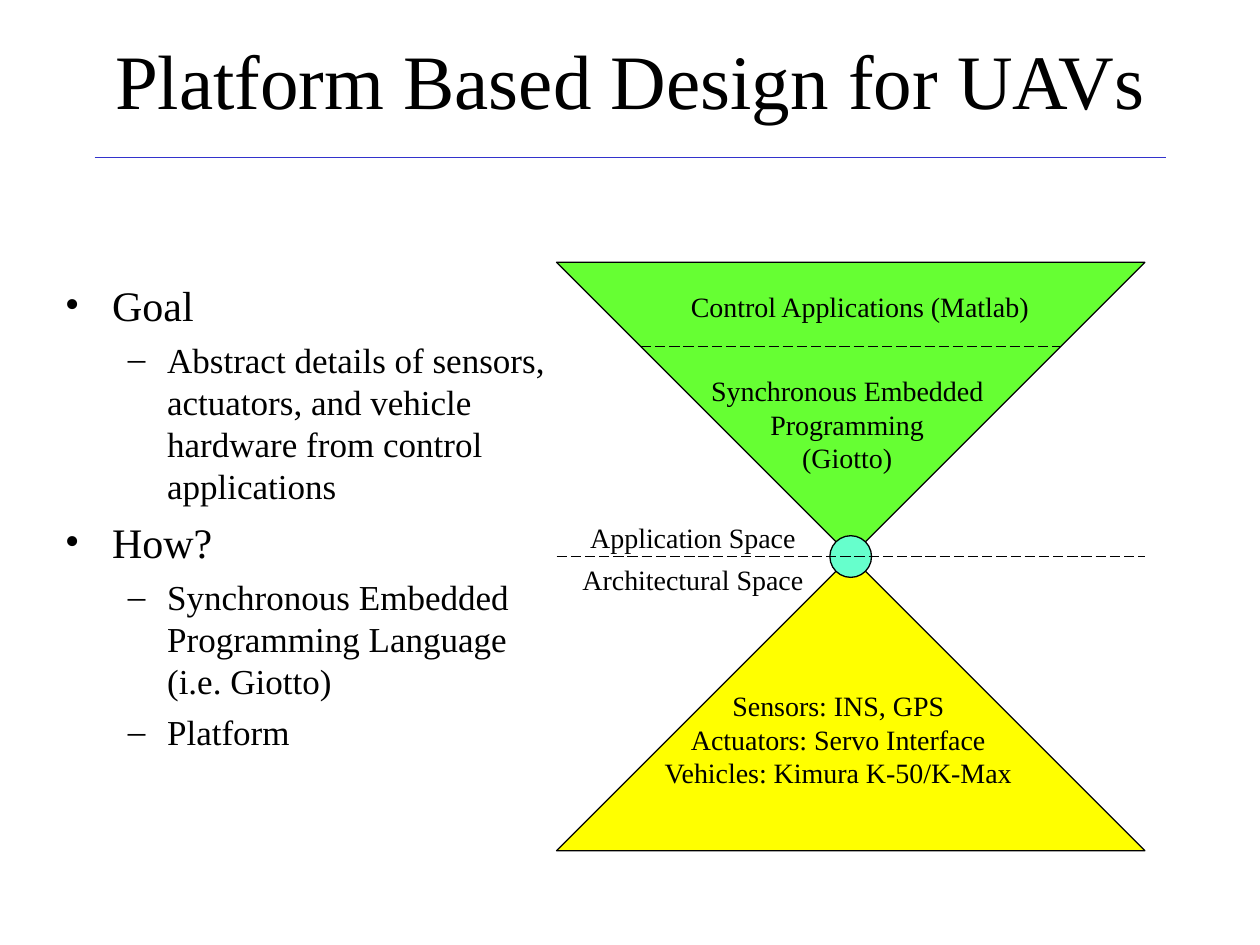
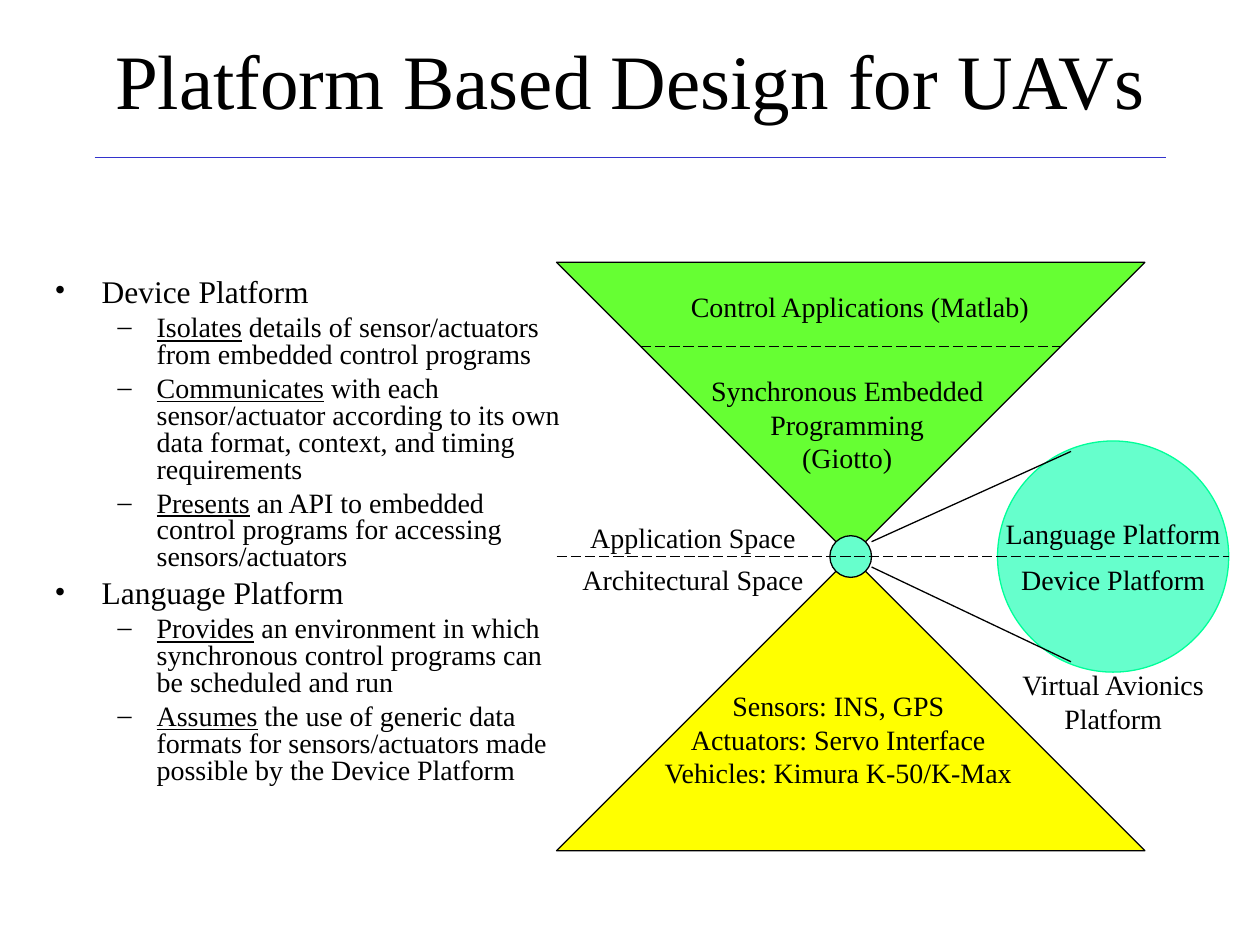
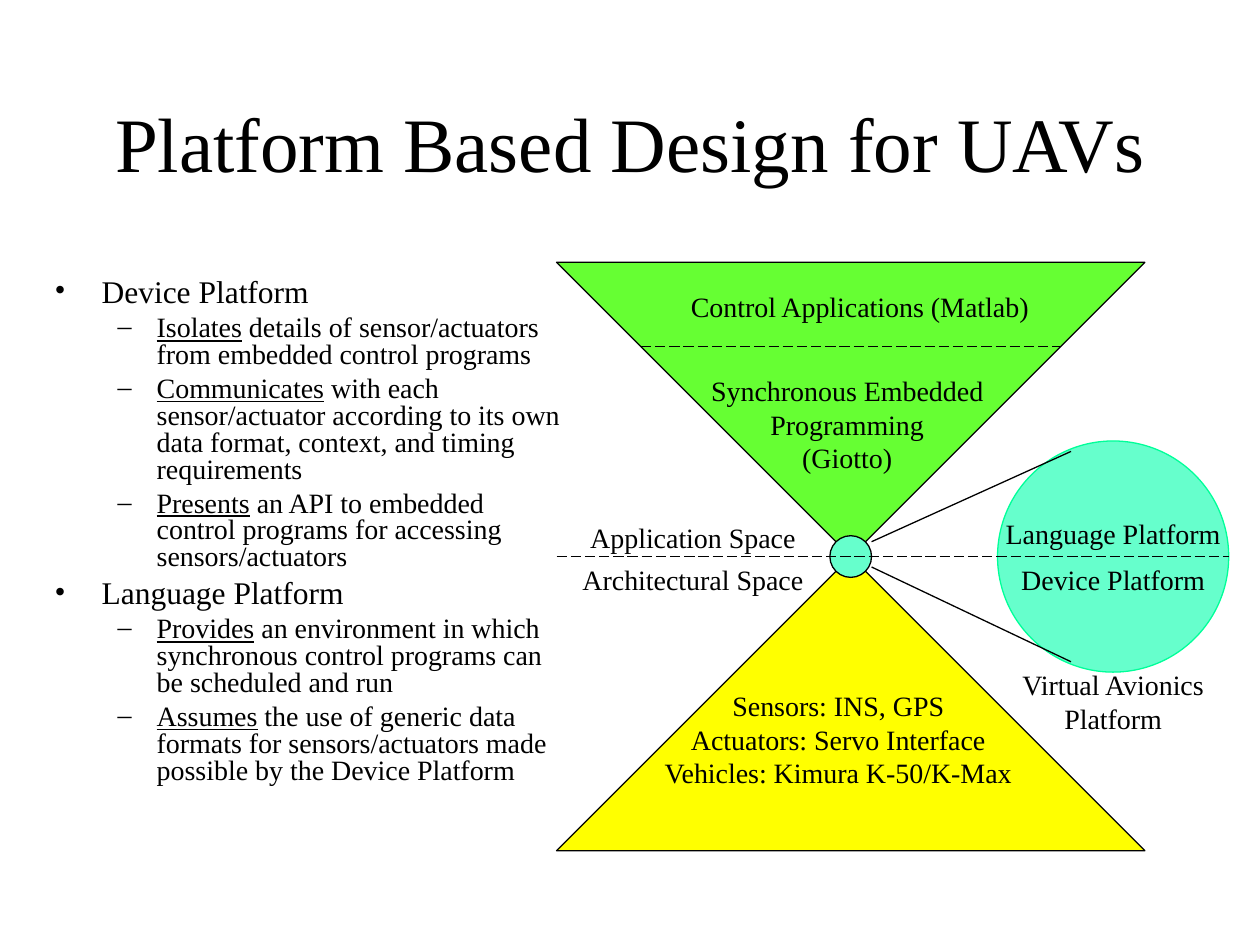
from dataclasses import dataclass

from lxml import etree
from pptx import Presentation
from pptx.dml.color import RGBColor
from pptx.enum.dml import MSO_LINE
from pptx.enum.shapes import MSO_CONNECTOR, MSO_SHAPE
from pptx.enum.text import MSO_ANCHOR, MSO_AUTO_SIZE, PP_ALIGN
from pptx.oxml.ns import qn
from pptx.util import Cm, Pt

TRIANGLE = MSO_SHAPE.ISOSCELES_TRIANGLE
OVAL = MSO_SHAPE.OVAL
STRAIGHT = MSO_CONNECTOR.STRAIGHT
LONG_DASH = MSO_LINE.LONG_DASH
CENTER = PP_ALIGN.CENTER
LEFT = PP_ALIGN.LEFT
MIDDLE = MSO_ANCHOR.MIDDLE
TOP = MSO_ANCHOR.TOP
GROW = MSO_AUTO_SIZE.SHAPE_TO_FIT_TEXT


@dataclass(frozen=True)
class Theme:
    font: str = "Times New Roman"
    ink: str = "000000"
    rule: str = "3333CC"
    application: str = "66FF33"
    architecture: str = "FFFF00"
    platform: str = "66FFCC"
    platform_edge: str = "00FF99"
    title_size: float = 44
    label_size: float = 16
    roomy_sizes: tuple = (24, 20)
    dense_sizes: tuple = (18, 16)
    line_width: float = 0.75


THEME = Theme()

# Hourglass geometry in centimetres: both triangles meet at the apex
APEX_X, APEX_Y = 17.15, 11.22
HALF = 5.93
NODE_RADIUS = 0.42
LAYER_OFFSET = 4.23
PLATFORM_X, PLATFORM_RADIUS = 22.44, 2.33
LABEL_HEIGHT = 0.94

TITLE = "Platform Based Design for UAVs"

# Each point: level, underlined lead word, remaining text
GOAL_POINTS = [
    (0, "", "Goal"),
    (1, "", "Abstract details of sensors, actuators, and vehicle hardware "
            "from control applications"),
    (0, "", "How?"),
    (1, "", "Synchronous Embedded Programming Language (i.e. Giotto)"),
    (1, "", "Platform"),
]
PLATFORM_POINTS = [
    (0, "", "Device Platform"),
    (1, "Isolates", " details of sensor/actuators from embedded control programs"),
    (1, "Communicates", " with each sensor/actuator according to its own data "
                        "format, context, and timing requirements"),
    (1, "Presents", " an API to embedded control programs for accessing "
                    "sensors/actuators"),
    (0, "", "Language Platform"),
    (1, "Provides", " an environment in which synchronous control programs can "
                    "be scheduled and run"),
    (1, "Assumes", " the use of generic data formats for sensors/actuators made "
                   "possible by the Device Platform"),
]

BULLETS = [("•", 0.95, -0.95), ("–", 2.06, -0.79)]


def colour(hex_value):
    return RGBColor.from_string(hex_value)


def add_run(paragraph, text, size, underline=False):
    run = paragraph.add_run()
    run.text = text
    run.font.name = THEME.font
    run.font.size = Pt(size)
    run.font.color.rgb = colour(THEME.ink)
    if underline:
        run.font.underline = True


def add_text_frame(slide, left, top, width, height, anchor=TOP):
    box = slide.shapes.add_textbox(Cm(left), Cm(top), Cm(width), Cm(height))
    frame = box.text_frame
    frame.word_wrap = True
    frame.vertical_anchor = anchor
    return frame


def add_label(slide, lines, left, top, width, height=LABEL_HEIGHT):
    frame = add_text_frame(slide, left, top, width, height)
    frame.auto_size = GROW
    paragraph = frame.paragraphs[0]
    paragraph.alignment = CENTER
    for index, line in enumerate(lines):
        if index:
            paragraph.add_line_break()
        add_run(paragraph, line, THEME.label_size)


def add_line(slide, start, end, line_colour=THEME.ink, dashed=False):
    connector = slide.shapes.add_connector(
        STRAIGHT, *(Cm(value) for value in (*start, *end)))
    connector.line.color.rgb = colour(line_colour)
    connector.line.width = Pt(THEME.line_width)
    if dashed:
        connector.line.dash_style = LONG_DASH
    etree.SubElement(connector._element.spPr, qn("a:effectLst"))


def add_filled(slide, preset, left, top, width, height, fill, edge=THEME.ink):
    shape = slide.shapes.add_shape(preset, Cm(left), Cm(top), Cm(width), Cm(height))
    shape.shadow.inherit = False
    shape.fill.solid()
    shape.fill.fore_color.rgb = colour(fill)
    shape.line.color.rgb = colour(edge)
    shape.line.width = Pt(THEME.line_width)
    return shape


def add_disc(slide, center_x, radius, edge):
    """Draw a platform circle centred on the line between the two spaces."""
    add_filled(slide, OVAL, center_x - radius, APEX_Y - radius,
               2 * radius, 2 * radius, THEME.platform, edge)


def add_title(slide, top=0.0, ruled=True):
    frame = add_text_frame(slide, 1.91, top, 21.59, 3.18, MIDDLE)
    paragraph = frame.paragraphs[0]
    paragraph.alignment = CENTER
    add_run(paragraph, TITLE, THEME.title_size)
    if ruled:
        add_line(slide, (1.91, 3.18), (23.5, 3.18), THEME.rule)


def set_bullet(paragraph, level):
    symbol, margin, indent = BULLETS[level]
    properties = paragraph._p.get_or_add_pPr()
    properties.set("marL", str(Cm(margin)))
    properties.set("indent", str(Cm(indent)))
    bullet_colour = etree.SubElement(properties, qn("a:buClr"))
    etree.SubElement(bullet_colour, qn("a:srgbClr"), val=THEME.ink)
    etree.SubElement(properties, qn("a:buFont"), typeface=THEME.font)
    etree.SubElement(properties, qn("a:buChar"), char=symbol)


def add_points(slide, points, left, width, sizes, line_spacing=None):
    """Write the two-level list; the space before is a quarter of the type size."""
    frame = add_text_frame(slide, left, 5.5, width, 11.43)
    for index, (level, lead, rest) in enumerate(points):
        paragraph = frame.add_paragraph() if index else frame.paragraphs[0]
        set_bullet(paragraph, level)
        paragraph.level = level
        paragraph.alignment = LEFT
        if line_spacing:
            paragraph.line_spacing = line_spacing
        if index:
            paragraph.space_before = Pt(sizes[level] / 4)
        if lead:
            add_run(paragraph, lead, sizes[level], underline=True)
        add_run(paragraph, rest, sizes[level])


def add_hourglass(slide):
    left = APEX_X - HALF
    application = add_filled(slide, TRIANGLE, left, APEX_Y - HALF,
                             2 * HALF, HALF, THEME.application)
    application._element.spPr.xfrm.set("flipV", "1")
    add_filled(slide, TRIANGLE, left, APEX_Y, 2 * HALF, HALF, THEME.architecture)
    add_disc(slide, APEX_X, NODE_RADIUS, THEME.ink)

    layer_y = APEX_Y - LAYER_OFFSET
    add_line(slide, (APEX_X - LAYER_OFFSET, layer_y),
             (APEX_X + LAYER_OFFSET, layer_y), dashed=True)

    add_label(slide, ["Control Applications (Matlab)"], 13.55, 5.72, 7.57)
    add_label(slide, ["Synchronous Embedded", "Programming", "(Giotto)"],
              13.97, 7.41, 6.22, 2.29)
    add_label(slide, ["Sensors: INS, GPS", "Actuators: Servo Interface",
                      "Vehicles: Kimura K-50/K-Max"], 12.91, 13.76, 7.98, 2.29)
    add_label(slide, ["Application Space"], left, 10.37, 5.5)
    add_label(slide, ["Architectural Space"], left, APEX_Y, 5.5)


def add_space_divider(slide, right):
    add_line(slide, (APEX_X - HALF, APEX_Y), (right, APEX_Y), dashed=True)


def add_platform_zoom(slide):
    """Enlarge the node at the apex into the virtual avionics platform."""
    add_disc(slide, PLATFORM_X, PLATFORM_RADIUS, THEME.platform_edge)
    node_edge = APEX_X + NODE_RADIUS
    add_line(slide, (node_edge, 10.92), (21.59, 9.1))
    add_line(slide, (node_edge, 11.43), (21.59, 13.34))
    for text, top, width, height in (
            ("Language Platform", 10.29, 5.5, LABEL_HEIGHT),
            ("Device Platform", APEX_Y, 4.66, LABEL_HEIGHT),
            ("Virtual Avionics Platform", 13.34, 5.08, 1.63)):
        add_label(slide, [text], PLATFORM_X - width / 2, top, width, height)


def build_goal_slide(slide):
    add_title(slide)
    add_points(slide, GOAL_POINTS, 1.06, 10.37, THEME.roomy_sizes)
    add_hourglass(slide)
    add_space_divider(slide, APEX_X + HALF)


def build_platform_slide(slide, title_top, ruled):
    add_title(slide, title_top, ruled)
    add_points(slide, PLATFORM_POINTS, 0.85, 10.8, THEME.dense_sizes, 0.8)
    add_hourglass(slide)
    add_platform_zoom(slide)
    add_space_divider(slide, PLATFORM_X + PLATFORM_RADIUS)


def main():
    deck = Presentation()
    deck.slide_width, deck.slide_height = Cm(25.4), Cm(19.05)
    blank = deck.slide_layouts[6]
    build_goal_slide(deck.slides.add_slide(blank))
    build_platform_slide(deck.slides.add_slide(blank), title_top=0.0, ruled=True)
    build_platform_slide(deck.slides.add_slide(blank), title_top=1.27, ruled=False)
    deck.save("out.pptx")


if __name__ == "__main__":
    main()
